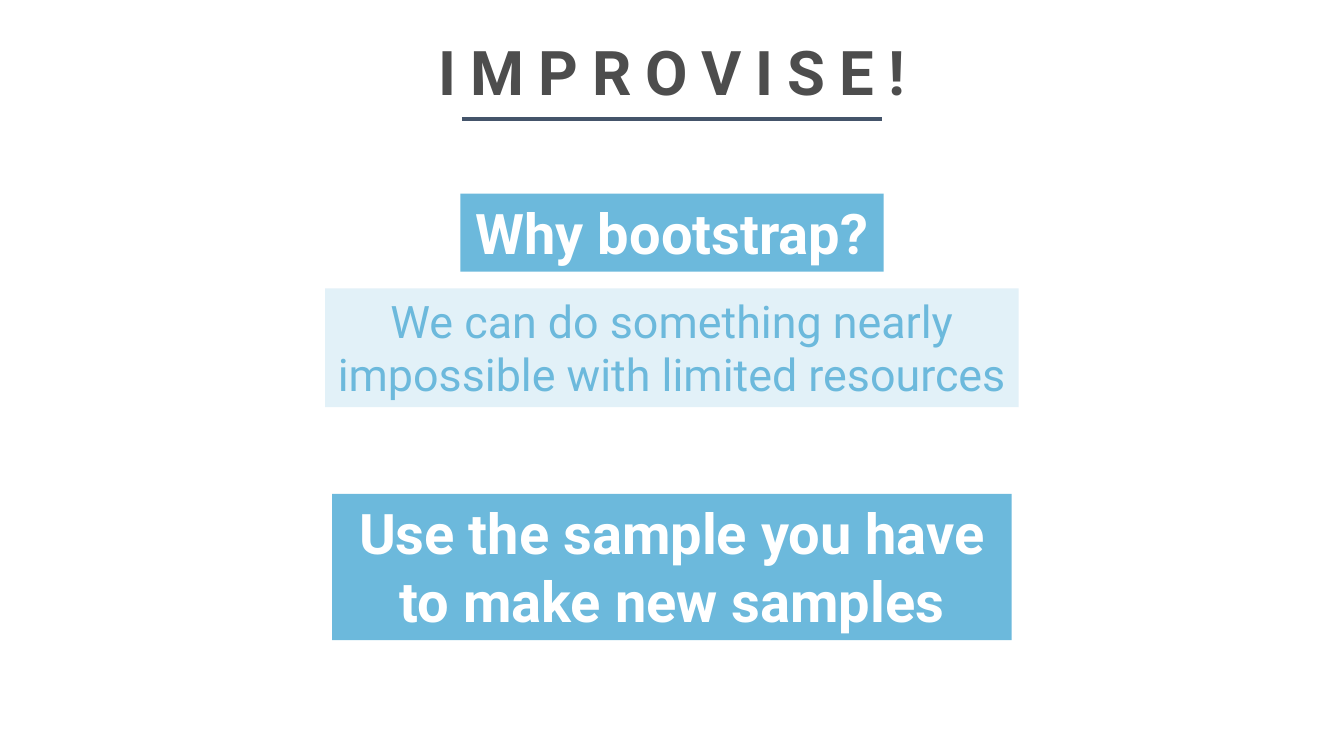
from lxml.etree import SubElement
from pptx import Presentation
from pptx.dml.color import RGBColor
from pptx.enum.shapes import MSO_CONNECTOR, MSO_SHAPE
from pptx.enum.text import MSO_ANCHOR, MSO_AUTO_SIZE, PP_ALIGN
from pptx.oxml.ns import qn
from pptx.util import Pt

FONT = "Roboto"
COLORS = {
    "title": "4D4D4D",
    "rule": "44546A",
    "blue": "6CB9DC",
    "pale": "E2F1F8",
    "white": "FFFFFF",
}
SLIDE_WIDTH, SLIDE_HEIGHT = 960, 540
TITLE = {"text": "IMPROVISE!", "top": 12.24, "height": 72}
RULE = {"width": 300, "y": 85, "weight": 3}
HEADLINE = {"fill": "blue", "color": "white", "size": 40, "bold": True}
DETAIL = {"fill": "pale", "color": "blue", "size": 32, "bold": False}

# text, top, width, height, style
BANDS = [
    ("Why bootstrap?", 138.3, 302.4, 55.7, HEADLINE),
    ("We can do something nearly impossible with limited resources",
     206, 495.4, 84.8, DETAIL),
    ("Use the sample you have to make new samples",
     352.8, 485.4, 104.4, HEADLINE),
]


def rgb(name):
    return RGBColor.from_string(COLORS[name])


def centered_left(width):
    return (SLIDE_WIDTH - width) / 2


def write(shape, text, *, size, color, bold=False, anchor=MSO_ANCHOR.TOP,
          line_spacing=None, tracking=None):
    """Fill the shape with one centred paragraph; tracking is in points."""
    frame = shape.text_frame
    frame.word_wrap = True
    frame.vertical_anchor = anchor
    paragraph = frame.paragraphs[0]
    paragraph.alignment = PP_ALIGN.CENTER
    if line_spacing:
        paragraph.line_spacing = line_spacing
    run = paragraph.add_run()
    run.text = text
    run.font.name = FONT
    run.font.size = Pt(size)
    run.font.bold = bold
    run.font.color.rgb = rgb(color)
    if tracking:
        run.font._element.set("spc", str(tracking * 100))


def add_title(slide):
    title = slide.shapes.add_textbox(
        0, Pt(TITLE["top"]), Pt(SLIDE_WIDTH), Pt(TITLE["height"]))
    write(title, TITLE["text"], size=44, color="title", bold=True,
          anchor=MSO_ANCHOR.MIDDLE, line_spacing=1.1, tracking=10)


def add_rule(slide):
    left = centered_left(RULE["width"])
    rule = slide.shapes.add_connector(
        MSO_CONNECTOR.STRAIGHT, Pt(left), Pt(RULE["y"]),
        Pt(left + RULE["width"]), Pt(RULE["y"]))
    rule.line.color.rgb = rgb("rule")
    rule.line.width = Pt(RULE["weight"])
    SubElement(rule._element.spPr, qn("a:effectLst"))


def add_band(slide, text, top, width, height, style):
    band = slide.shapes.add_shape(
        MSO_SHAPE.RECTANGLE, Pt(centered_left(width)), Pt(top),
        Pt(width), Pt(height))
    band.shadow.inherit = False
    band.fill.solid()
    band.fill.fore_color.rgb = rgb(style["fill"])
    band.line.fill.background()
    write(band, text, size=style["size"], color=style["color"],
          bold=style["bold"])
    band.text_frame.auto_size = MSO_AUTO_SIZE.SHAPE_TO_FIT_TEXT


def main():
    deck = Presentation()
    deck.slide_width, deck.slide_height = Pt(SLIDE_WIDTH), Pt(SLIDE_HEIGHT)
    slide = deck.slides.add_slide(deck.slide_layouts[6])
    add_title(slide)
    add_rule(slide)
    for band in BANDS:
        add_band(slide, *band)
    deck.save("out.pptx")


if __name__ == "__main__":
    main()
